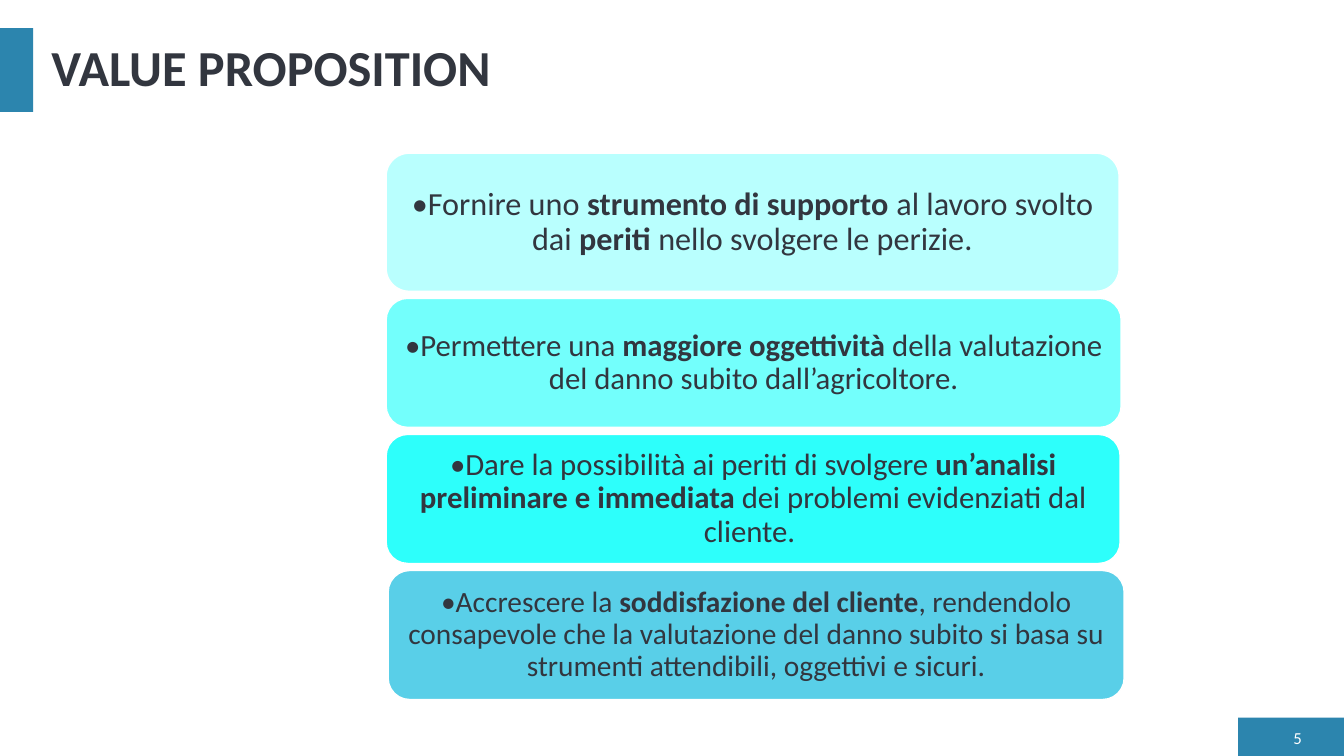
from pptx import Presentation
from pptx.dml.color import RGBColor
from pptx.enum.shapes import MSO_SHAPE
from pptx.enum.text import MSO_ANCHOR, PP_ALIGN
from pptx.util import Inches, Pt

# Content: each statement is a list of (text, bold) runs
TITLE = "VALUE PROPOSITION"
PAGE_NUMBER = "5"
STATEMENTS = [
    dict(fill="B9FFFE", size=23, left=3.83, width=7.27, height=1.37, runs=[
        ("•Fornire uno ", False), ("strumento di supporto ", True),
        ("al lavoro svolto dai ", False), ("periti", True),
        (" nello svolgere le perizie.", False)]),
    dict(fill="73FFFC", size=22, left=3.83, width=7.29, height=1.28, runs=[
        ("•Permettere una ", False), ("maggiore oggettività ", True),
        ("della valutazione del danno subito dall’agricoltore.", False)]),
    dict(fill="2DFFFB", size=22, left=3.83, width=7.28, height=1.28, runs=[
        ("•Dare la possibilità ai periti di svolgere ", False),
        ("un’analisi preliminare e immediata", True),
        (" dei problemi evidenziati dal cliente. ", False)]),
    dict(fill="59CFE8", size=21, left=3.85, width=7.3, height=1.28, runs=[
        ("•Accrescere la ", False), ("soddisfazione del cliente", True),
        (", rendendolo consapevole che la valutazione del danno subito si basa su "
         "strumenti attendibili, oggettivi e sicuri.", False)]),
]

# Theme
THEME = dict(font="Calibri", ink="32363F", accent="2C85AE", white="FFFFFF",
             title_size=36, number_size=12)

# Layout, in inches
STACK_TOP, STACK_GAP = 1.52, 0.07
ACCENT_BARS = [(12.28, 7.12, 1.05, 0.38), (0, 0.28, 0.33, 0.83)]
TITLE_AREA = (0.41, 0.28, 12.6, 0.83)
NUMBER_AREA = (12.6, 7.2, 0.41, 0.23)


def write(shape, runs, *, size, color=THEME["ink"], align=PP_ALIGN.LEFT,
          spacing=None, margins=(0.1, 0.05)):
    """Fill a shape with one paragraph of (text, bold) runs."""
    frame = shape.text_frame
    frame.word_wrap = True
    frame.vertical_anchor = MSO_ANCHOR.MIDDLE
    frame.margin_left = frame.margin_right = Inches(margins[0])
    frame.margin_top = frame.margin_bottom = Inches(margins[1])
    paragraph = frame.paragraphs[0]
    paragraph.alignment = align
    paragraph.line_spacing = spacing
    for text, bold in runs:
        run = paragraph.add_run()
        run.text = text
        run.font.name = THEME["font"]
        run.font.size = Pt(size)
        run.font.bold = bold
        run.font.color.rgb = RGBColor.from_string(color)


def add_block(slide, kind, area, fill, line=None):
    block = slide.shapes.add_shape(kind, *map(Inches, area))
    block.shadow.inherit = False
    block.fill.solid()
    block.fill.fore_color.rgb = RGBColor.from_string(fill)
    if line:
        block.line.color.rgb = RGBColor.from_string(line)
        block.line.width = Pt(1)
    else:
        block.line.fill.background()
    return block


def main():
    deck = Presentation()
    deck.slide_width, deck.slide_height = Inches(13.33), Inches(7.5)
    slide = deck.slides.add_slide(deck.slide_layouts[5])

    # Accent bars
    for area in ACCENT_BARS:
        add_block(slide, MSO_SHAPE.RECTANGLE, area, THEME["accent"])

    # Title
    title = slide.shapes.title
    title.left, title.top, title.width, title.height = map(Inches, TITLE_AREA)
    write(title, [(TITLE, True)], size=THEME["title_size"], spacing=0.9)

    # Stacked statements
    top = STACK_TOP
    for item in STATEMENTS:
        area = (item["left"], top, item["width"], item["height"])
        statement = add_block(slide, MSO_SHAPE.ROUNDED_RECTANGLE, area,
                              item["fill"], line=THEME["white"])
        write(statement, item["runs"], size=item["size"],
              align=PP_ALIGN.CENTER, spacing=0.9, margins=(0.09, 0.05))
        top += item["height"] + STACK_GAP

    # Page number
    page_number = slide.shapes.add_textbox(*map(Inches, NUMBER_AREA))
    write(page_number, [(PAGE_NUMBER, False)], size=THEME["number_size"],
          color=THEME["white"], align=PP_ALIGN.RIGHT)

    deck.save("out.pptx")


if __name__ == "__main__":
    main()
